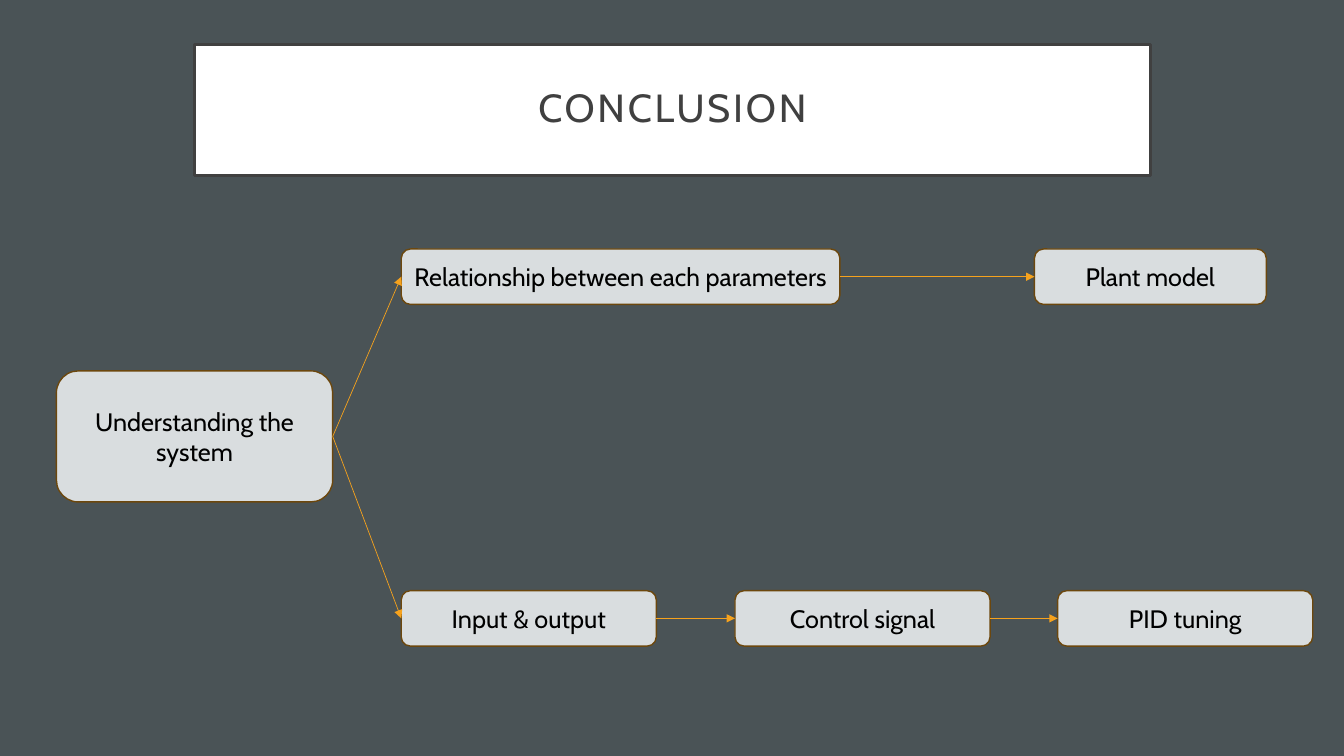
import pptx
import pptx.util
import pptx.dml.color
import pptx.enum.shapes
import pptx.enum.text
import pptx.oxml.ns
import lxml.etree
from dataclasses import dataclass

Inches = pptx.util.Inches
Pt = pptx.util.Pt

# Content: name -> (text, left, top, width, height)
TITLE = ("CONCLUSION", 1.93, 0.44, 9.48, 1.3)
HIGH, LOW, STEP = 2.47, 5.86, 0.55
BOXES = {
    "system": ("Understanding the system", 0.56, 3.68, 2.74, 1.3),
    "links": ("Relationship between each parameters", 3.98, HIGH, 4.35, STEP),
    "signals": ("Input & output", 3.98, LOW, 2.53, STEP),
    "plant": ("Plant model", 10.26, HIGH, 2.3, STEP),
    "control": ("Control signal", 7.29, LOW, 2.53, STEP),
    "tuning": ("PID tuning", 10.49, LOW, 2.53, STEP),
}
ARROWS = [
    ("system", "links"),
    ("links", "plant"),
    ("system", "signals"),
    ("signals", "control"),
    ("control", "tuning"),
]
LEFT, RIGHT = 1, 3  # connection sites of a rounded box


@dataclass(frozen=True)
class Theme:
    font: str = "Cabin"
    back: str = "4A5356"
    panel: str = "FFFFFF"
    dark: str = "404040"
    box: str = "D9DDDF"
    edge: str = "6C470D"
    arrow: str = "F6A21D"
    text: str = "000000"
    head: int = 28
    body: int = 18


THEME = Theme()


def rgb(code):
    return pptx.dml.color.RGBColor.from_string(code)


def paint(shape, fill, line, width):
    shape.fill.solid()
    shape.fill.fore_color.rgb = rgb(fill)
    shape.line.color.rgb = rgb(line)
    shape.line.width = Pt(width)


def write(shape, text, size, color):
    frame = shape.text_frame
    frame.word_wrap = True
    frame.auto_size = pptx.enum.text.MSO_AUTO_SIZE.NONE
    frame.vertical_anchor = pptx.enum.text.MSO_ANCHOR.MIDDLE
    para = frame.paragraphs[0]
    para.alignment = pptx.enum.text.PP_ALIGN.CENTER
    run = para.add_run()
    run.text = text
    run.font.name = THEME.font
    run.font.size = Pt(size)
    run.font.color.rgb = rgb(color)
    return frame, para, run


def add_title(slide):
    text, *place = TITLE
    title = slide.shapes.title
    title.left, title.top, title.width, title.height = map(Inches, place)
    paint(title, THEME.panel, THEME.dark, 2.5)
    frame, para, run = write(title, text, THEME.head, THEME.dark)
    frame.margin_left = frame.margin_right = Inches(0.2)
    frame.margin_top = frame.margin_bottom = Inches(0.2)
    para.line_spacing = 0.9
    run.font._element.set("spc", "200")  # letter spacing of 2 pt


def add_box(slide, text, *place):
    kind = pptx.enum.shapes.MSO_SHAPE.ROUNDED_RECTANGLE
    box = slide.shapes.add_shape(kind, *map(Inches, place))
    box.shadow.inherit = False
    paint(box, THEME.box, THEME.edge, 1)
    write(box, text, THEME.body, THEME.text)
    return box


def add_arrow(slide, start, end):
    kind = pptx.enum.shapes.MSO_CONNECTOR.STRAIGHT
    arrow = slide.shapes.add_connector(kind, 0, 0, 0, 0)
    arrow.begin_connect(start, RIGHT)
    arrow.end_connect(end, LEFT)
    arrow.line.color.rgb = rgb(THEME.arrow)
    arrow.line.width = Pt(0.5)
    # Arrowhead, and no shadow
    qn = pptx.oxml.ns.qn
    props = arrow._element.spPr
    line = props.find(qn("a:ln"))
    lxml.etree.SubElement(line, qn("a:tailEnd"), type="triangle")
    lxml.etree.SubElement(props, qn("a:effectLst"))


def main():
    deck = pptx.Presentation()
    deck.slide_width, deck.slide_height = Inches(13.33), Inches(7.5)
    slide = deck.slides.add_slide(deck.slide_layouts[5])
    slide.background.fill.solid()
    slide.background.fill.fore_color.rgb = rgb(THEME.back)

    # Title, boxes, then the arrows between them
    add_title(slide)
    boxes = {name: add_box(slide, *spec) for name, spec in BOXES.items()}
    for start, end in ARROWS:
        add_arrow(slide, boxes[start], boxes[end])
    deck.save("out.pptx")


if __name__ == "__main__":
    main()
